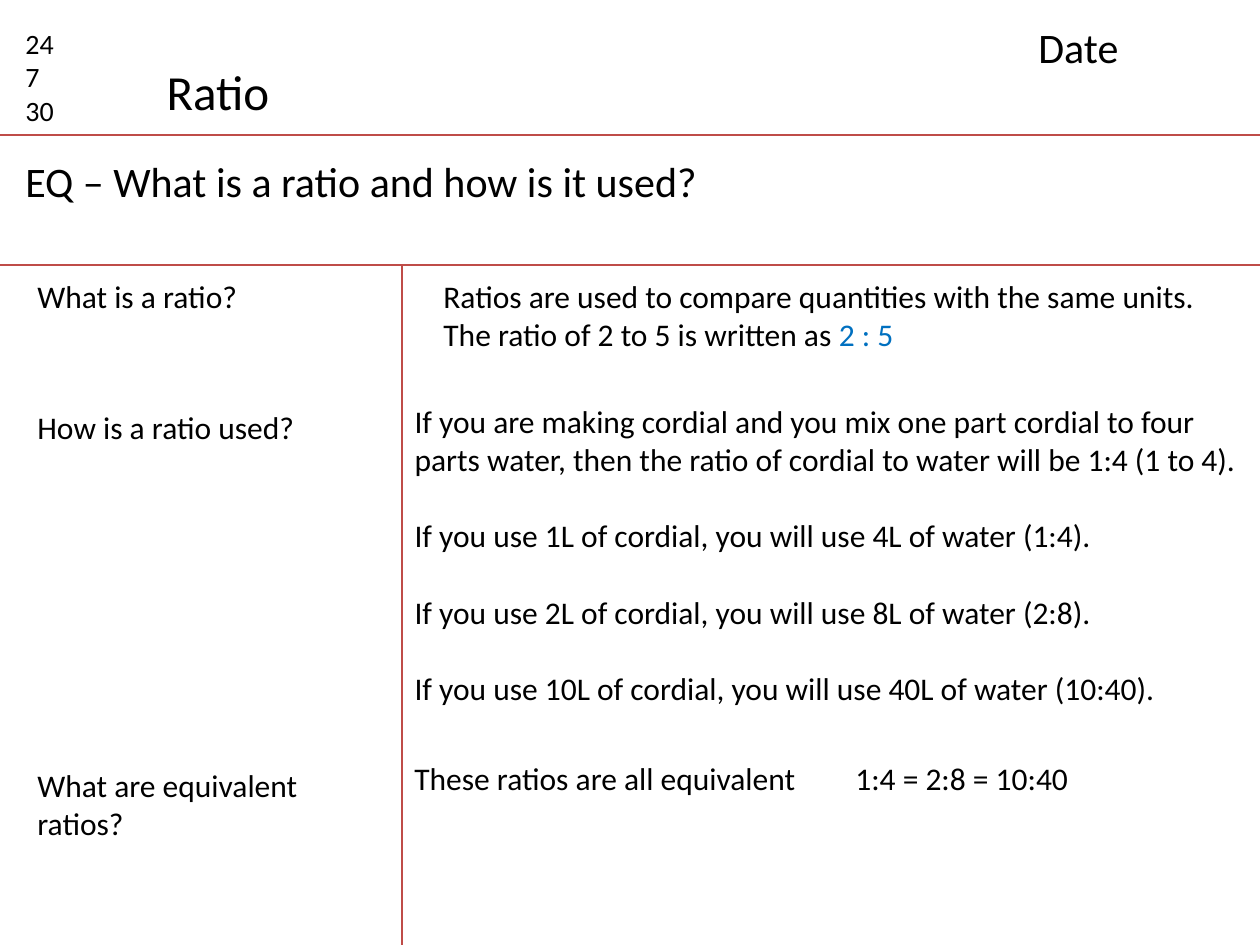
from lxml.etree import SubElement
from pptx import Presentation
from pptx.dml.color import RGBColor
from pptx.enum.shapes import MSO_CONNECTOR
from pptx.enum.text import MSO_ANCHOR, MSO_AUTO_SIZE, PP_ALIGN
from pptx.oxml.ns import qn
from pptx.util import Inches, Pt

PX_PER_INCH = 126
WIDTH, HEIGHT = 1260, 945
HEADER_BOTTOM, QUESTION_BOTTOM, CUE_RIGHT = 135, 265, 402
FONT = "Calibri"
BLACK = RGBColor(0x00, 0x00, 0x00)
RED = RGBColor(0xBF, 0x4C, 0x48)
BLUE = RGBColor(0x00, 0x70, 0xC0)


def px(length):
    return Inches(length / PX_PER_INCH)


def fill_text(shape, lines, size, gap=0, wrap=True):
    """Write one paragraph per line, with a gap in points between them."""
    frame = shape.text_frame
    frame.text = "\n".join(lines)
    frame.word_wrap = wrap
    frame.auto_size = MSO_AUTO_SIZE.NONE
    frame.vertical_anchor = MSO_ANCHOR.TOP
    for index, paragraph in enumerate(frame.paragraphs):
        paragraph.alignment = PP_ALIGN.LEFT
        paragraph.space_before = Pt(gap if index else 0)
        for run in paragraph.runs:
            run.font.size = Pt(size)
            run.font.name = FONT
            run.font.color.rgb = BLACK


def add_text(slide, left, top, width, height, lines, size):
    shape = slide.shapes.add_textbox(px(left), px(top), px(width), px(height))
    fill_text(shape, lines, size)
    return shape


def move(shape, left, top, width, height):
    shape.left, shape.top = px(left), px(top)
    shape.width, shape.height = px(width), px(height)


def add_rule(slide, x1, y1, x2, y2):
    rule = slide.shapes.add_connector(
        MSO_CONNECTOR.STRAIGHT, px(x1), px(y1), px(x2), px(y2))
    rule.line.color.rgb = RED
    rule.line.width = Pt(0.75)
    SubElement(rule._element.spPr, qn("a:effectLst"))


def add_header(slide, left, top, width, height):
    add_rule(slide, left, top + height, left + width, top + height)
    add_text(slide, left + 13, top + 20, 79, 115, ["24", "7", "30"], 16)
    title = slide.shapes.title
    move(title, left + 154, top + 55, 130, 72)
    fill_text(title, ["Ratio"], 28, wrap=False)
    add_text(slide, left + width - 234, top + 15, 218, 63, ["Date"], 24)


def add_question(slide, left, top, width, height):
    add_rule(slide, left, top + height, left + width, top + height)
    add_text(slide, left + 13, top + 14, 1188, 63,
             ["EQ – What is a ratio and how is it used?"], 24)


def add_cues(slide, left, top, width, height):
    add_rule(slide, left + width, top, left + width, top + height)
    cues = [
        (6, 228, 50, "What is a ratio?"),
        (137, 357, 50, "How is a ratio used?"),
        (495, 348, 89, "What are equivalent ratios?"),
    ]
    for offset, cue_width, cue_height, cue in cues:
        add_text(slide, left + 25, top + offset, cue_width, cue_height, [cue], 18)


def add_notes(slide, left, top, width):
    # Definition, with the written ratio picked out
    definition = add_text(slide, left + 29, top + 6, 786, 89, [
        "Ratios are used to compare quantities with the same units.",
        "The ratio of 2 to 5 is written as ",
    ], 18)
    ratio = definition.text_frame.paragraphs[1].add_run()
    ratio.text = "2 : 5"
    ratio.font.size = Pt(18)
    ratio.font.name = FONT
    ratio.font.color.rgb = BLUE

    # Cordial examples
    uses = [(1, 4), (2, 8), (10, 40)]
    examples = slide.placeholders[1]
    move(examples, left, top + 131, width, 317)
    fill_text(examples, [
        "If you are making cordial and you mix one part cordial to four "
        "parts water, then the ratio of cordial to water will be 1:4 (1 to 4).",
        *(f"If you use {cordial}L of cordial, you will use {water}L of water "
          f"({cordial}:{water})." for cordial, water in uses),
    ], 18, gap=22)
    for paragraph in examples.text_frame.paragraphs:
        properties = paragraph._p.get_or_add_pPr()
        properties.set("marL", "0")
        properties.set("indent", "0")
        SubElement(properties, qn("a:buNone"))

    # Equivalent ratios
    equation = " = ".join(f"{cordial}:{water}" for cordial, water in uses)
    add_text(slide, left, top + 488, 753, 89,
             [f"These ratios are all equivalent\t{equation}"], 18)


def main():
    presentation = Presentation()
    presentation.slide_width, presentation.slide_height = px(WIDTH), px(HEIGHT)
    slide = presentation.slides.add_slide(presentation.slide_layouts[1])
    add_header(slide, 0, 0, WIDTH, HEADER_BOTTOM)
    add_question(slide, 0, HEADER_BOTTOM, WIDTH, QUESTION_BOTTOM - HEADER_BOTTOM)
    add_cues(slide, 0, QUESTION_BOTTOM, CUE_RIGHT, HEIGHT - QUESTION_BOTTOM)
    add_notes(slide, CUE_RIGHT, QUESTION_BOTTOM, WIDTH - CUE_RIGHT)
    presentation.save("out.pptx")


if __name__ == "__main__":
    main()
